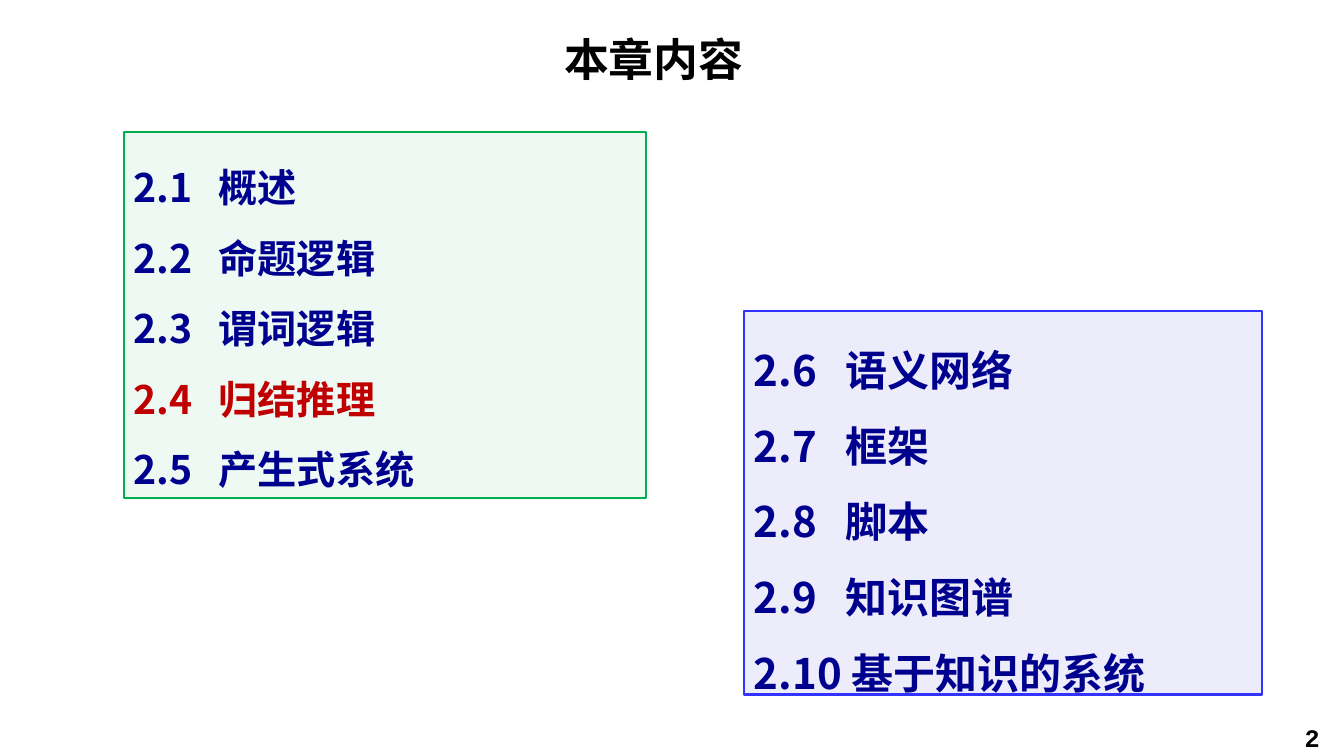
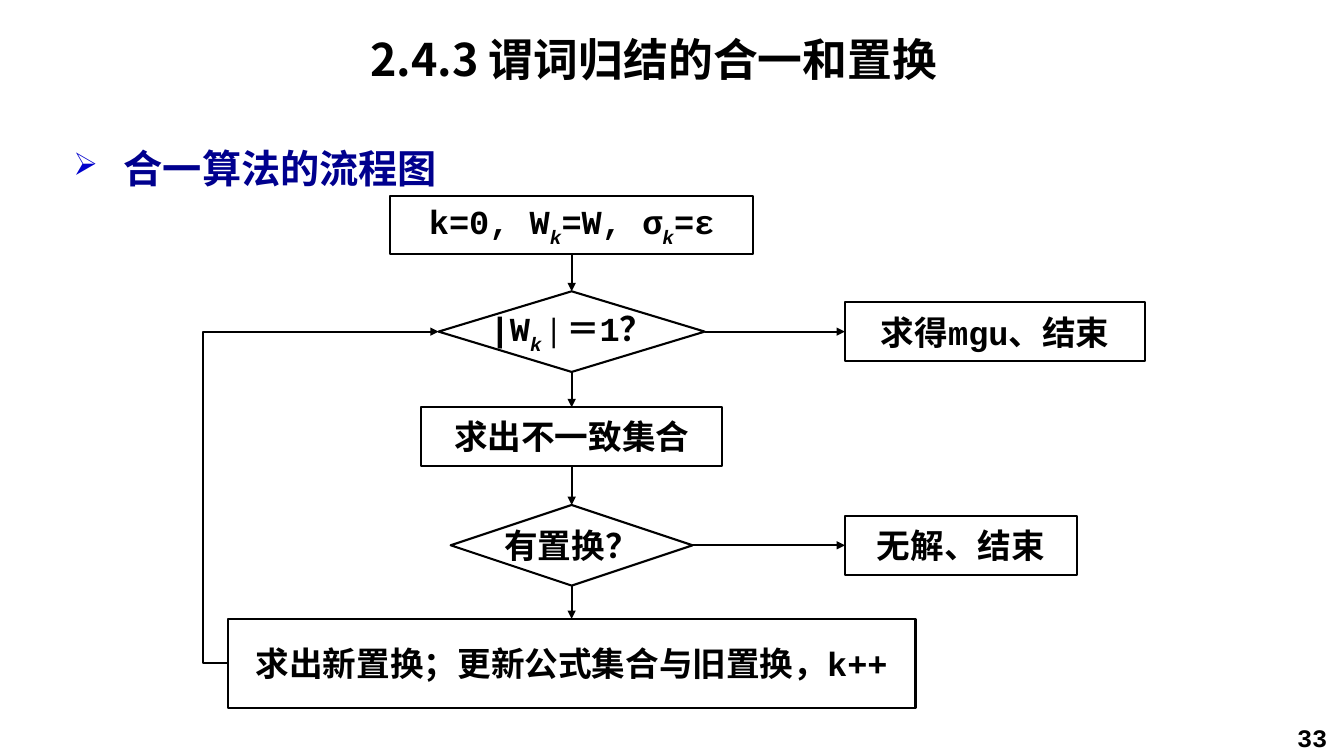
from dataclasses import dataclass
from typing import NamedTuple

from lxml import etree
from pptx import Presentation
from pptx.dml.color import RGBColor
from pptx.enum.shapes import MSO_CONNECTOR, MSO_SHAPE
from pptx.enum.text import MSO_ANCHOR, PP_ALIGN
from pptx.oxml.ns import qn
from pptx.util import Pt

# Scale: 100 px to the inch
PX = 9144
WIDE, HIGH = 1333, 750

# Shared look
BLACK = RGBColor(0x00, 0x00, 0x00)
NAVY = RGBColor(0x00, 0x00, 0x8E)
RED = RGBColor(0xC0, 0x00, 0x00)
BLUE = RGBColor(0x33, 0x33, 0xFF)
GREEN = RGBColor(0x00, 0xB0, 0x50)
MINT = RGBColor(0xEE, 0xF9, 0xF4)
LILAC = RGBColor(0xEC, 0xEC, 0xFA)
ARROW = RGBColor(0x00, 0x00, 0xCC)
SANS, MONO, SERIF = "Noto Sans CJK SC", "Courier New", "Times New Roman"
LINE = Pt(1.5)
PITCH = 1.8

RECT = MSO_SHAPE.RECTANGLE
STEP = MSO_SHAPE.FLOWCHART_PROCESS
TEST = MSO_SHAPE.FLOWCHART_DECISION
PLAIN, ELBOW = MSO_CONNECTOR.STRAIGHT, MSO_CONNECTOR.ELBOW
LEFT, CENTER = PP_ALIGN.LEFT, PP_ALIGN.CENTER
TOP, MIDDLE = MSO_ANCHOR.TOP, MSO_ANCHOR.MIDDLE
UP, WEST, DOWN, EAST = range(4)


class Box(NamedTuple):
    x: int
    y: int
    w: int
    h: int

    def emu(self) -> list[int]:
        return [v * PX for v in self]


class Piece(NamedTuple):
    text: str
    sub: bool = False
    face: str = ""


@dataclass
class Panel:
    box: Box
    fill: RGBColor
    edge: RGBColor
    size: int
    tab: int
    rows: list[str]


@dataclass
class Node:
    name: str
    kind: int
    box: Box
    words: list[Piece]


class Link(NamedTuple):
    start: str
    out: int
    end: str
    into: int


TITLE = Box(63, 25, 1171, 67)
NUMBER = Box(1270, 712, 63, 38)
BODY = Box(63, 112, 1207, 594)

# Contents slide
HOT = "2.4\t归结推理"
PANELS = [
    Panel(Box(123, 131, 518, 363), MINT, GREEN, 28, 84,
          ["2.1\t概述", "2.2\t命题逻辑", "2.3\t谓词逻辑", HOT, "2.5\t产生式系统"]),
    Panel(Box(738, 309, 514, 380), LILAC, BLUE, 30, 91,
          ["2.6\t语义网络", "2.7\t框架", "2.8\t脚本", "2.9\t知识图谱",
           "2.10 基于知识的系统"]),
]

# Flow chart: one main column, ends to the right
AXIS, SIDE = 567, 838


def mid(y: int, w: int, h: int) -> Box:
    return Box(AXIS - w // 2, y - h // 2, w, h)


def side(y: int, w: int) -> Box:
    return Box(SIDE, y - 29, w, 58)


K = Piece("k", sub=True)
NODES = [
    Node("init", STEP, mid(223, 360, 58),
         [Piece("k=0, W"), K, Piece("=W, σ"), K, Piece("=ε")]),
    Node("single", TEST, mid(329, 264, 80),
         [Piece("|W"), K, Piece(" | ", face=SERIF), Piece("＝1？")]),
    Node("found", STEP, side(329, 298), [Piece("求得mgu、结束")]),
    Node("diff", STEP, mid(433, 298, 58), [Piece("求出不一致集合")]),
    Node("swap", TEST, mid(541, 240, 80), [Piece("有置换？")]),
    Node("update", STEP, mid(658, 682, 88),
         [Piece("求出新置换；更新公式集合与旧置换，k++")]),
    Node("none", STEP, side(541, 230), [Piece("无解、结束")]),
]
MAIN = ["init", "single", "diff", "swap", "update"]
LINKS = [Link(a, DOWN, b, UP) for a, b in zip(MAIN, MAIN[1:])]
LINKS += [Link("single", EAST, "found", WEST), Link("swap", EAST, "none", WEST)]
BACK = Link("update", WEST, "single", WEST)


def style(para, size: int, face: str, color: RGBColor, align=CENTER) -> None:
    """Set the font of a paragraph, for Latin and Chinese text."""
    para.alignment = align
    font = para.font
    font.size, font.bold, font.name = Pt(size), True, face
    font.color.rgb = color
    base = para._p.pPr.find(qn("a:defRPr"))
    etree.SubElement(base, qn("a:ea"), typeface=SANS)


def frame(shape, anchor, wrap: bool = True):
    text = shape.text_frame
    text.word_wrap = wrap
    text.vertical_anchor = anchor
    return text


def label(slide, box: Box, text: str, size: int, face: str, anchor) -> None:
    para = frame(slide.shapes.add_textbox(*box.emu()), anchor).paragraphs[0]
    para.text = text
    style(para, size, face, BLACK)


def start(deck, title: str, number: int):
    """Add a slide with its title and page number."""
    slide = deck.slides.add_slide(deck.slide_layouts[6])
    label(slide, TITLE, title, 32, SANS, MIDDLE)
    label(slide, NUMBER, str(number), 18, MONO, TOP)
    return slide


def outline(slide, kind, box: Box, edge: RGBColor):
    shape = slide.shapes.add_shape(kind, *box.emu())
    shape.shadow.inherit = False
    shape.fill.background()
    shape.line.color.rgb = edge
    shape.line.width = LINE
    return shape


def entry(para, text: str, size: int, face: str, color: RGBColor) -> None:
    """Write one line of body text at the wide pitch."""
    para.text = text
    para.line_spacing = Pt(size * PITCH)
    style(para, size, face, color, LEFT)


def extend(para, tag: str, **attrs: str):
    """Add a paragraph property ahead of the font."""
    item = etree.Element(qn(tag), **attrs)
    para._p.pPr.find(qn("a:defRPr")).addprevious(item)
    return item


def panel(slide, plan: Panel) -> None:
    shape = outline(slide, RECT, plan.box, plan.edge)
    shape.fill.solid()
    shape.fill.fore_color.rgb = plan.fill
    text = frame(shape, TOP)
    text.margin_top = 8 * PX
    for i, row in enumerate(plan.rows):
        para = text.add_paragraph() if i else text.paragraphs[0]
        entry(para, row, plan.size, SANS, RED if row == HOT else NAVY)
        tabs = extend(para, "a:tabLst")
        etree.SubElement(tabs, qn("a:tab"), pos=str(plan.tab * PX), algn="l")


def bullet(slide, text: str) -> None:
    body = frame(slide.shapes.add_textbox(*BODY.emu()), TOP)
    body.margin_top = 8 * PX
    para = body.paragraphs[0]
    entry(para, text, 28, MONO, NAVY)
    para._p.pPr.set("marL", str(50 * PX))
    para._p.pPr.set("indent", str(-50 * PX))
    tint = extend(para, "a:buClr")
    etree.SubElement(tint, qn("a:srgbClr"), val=str(ARROW))
    extend(para, "a:buSzPct", val="80000")
    extend(para, "a:buChar", char="➢")


def node(slide, item: Node):
    shape = outline(slide, item.kind, item.box, BLACK)
    para = frame(shape, MIDDLE, wrap=False).paragraphs[0]
    style(para, 24, MONO, BLACK)
    for word in item.words:
        run = para.add_run()
        run.text = word.text
        if word.face:
            run.font.name = word.face
        if word.sub:
            run.font.italic = True
            run._r.get_or_add_rPr().set("baseline", "-30000")
    return shape


def join(slide, shapes: dict, link: Link, kind=PLAIN):
    """Draw an arrow between the sides of two shapes."""
    wire = slide.shapes.add_connector(kind, 0, 0, 0, 0)
    wire.begin_connect(shapes[link.start], link.out)
    wire.end_connect(shapes[link.end], link.into)
    wire.line.color.rgb = BLACK
    wire.line.width = LINE
    props = wire._element.spPr
    etree.SubElement(props.find(qn("a:ln")), qn("a:tailEnd"), type="triangle")
    etree.SubElement(props, qn("a:effectLst"))
    return wire


def main() -> None:
    deck = Presentation()
    deck.slide_width, deck.slide_height = WIDE * PX, HIGH * PX

    # Chapter contents
    slide = start(deck, "本章内容", 2)
    for item in PANELS:
        panel(slide, item)

    # Unification flow chart
    slide = start(deck, "2.4.3 谓词归结的合一和置换", 33)
    bullet(slide, "合一算法的流程图")
    shapes = {item.name: node(slide, item) for item in NODES}
    for link in LINKS:
        join(slide, shapes, link)

    # The loop back swings out to the left of both ends
    loop = join(slide, shapes, BACK, ELBOW)
    bend = loop._element.spPr.find(qn("a:prstGeom")).find(qn("a:avLst"))
    etree.SubElement(bend, qn("a:gd"), name="adj1", fmla="val -11900")

    deck.save("out.pptx")


if __name__ == "__main__":
    main()
